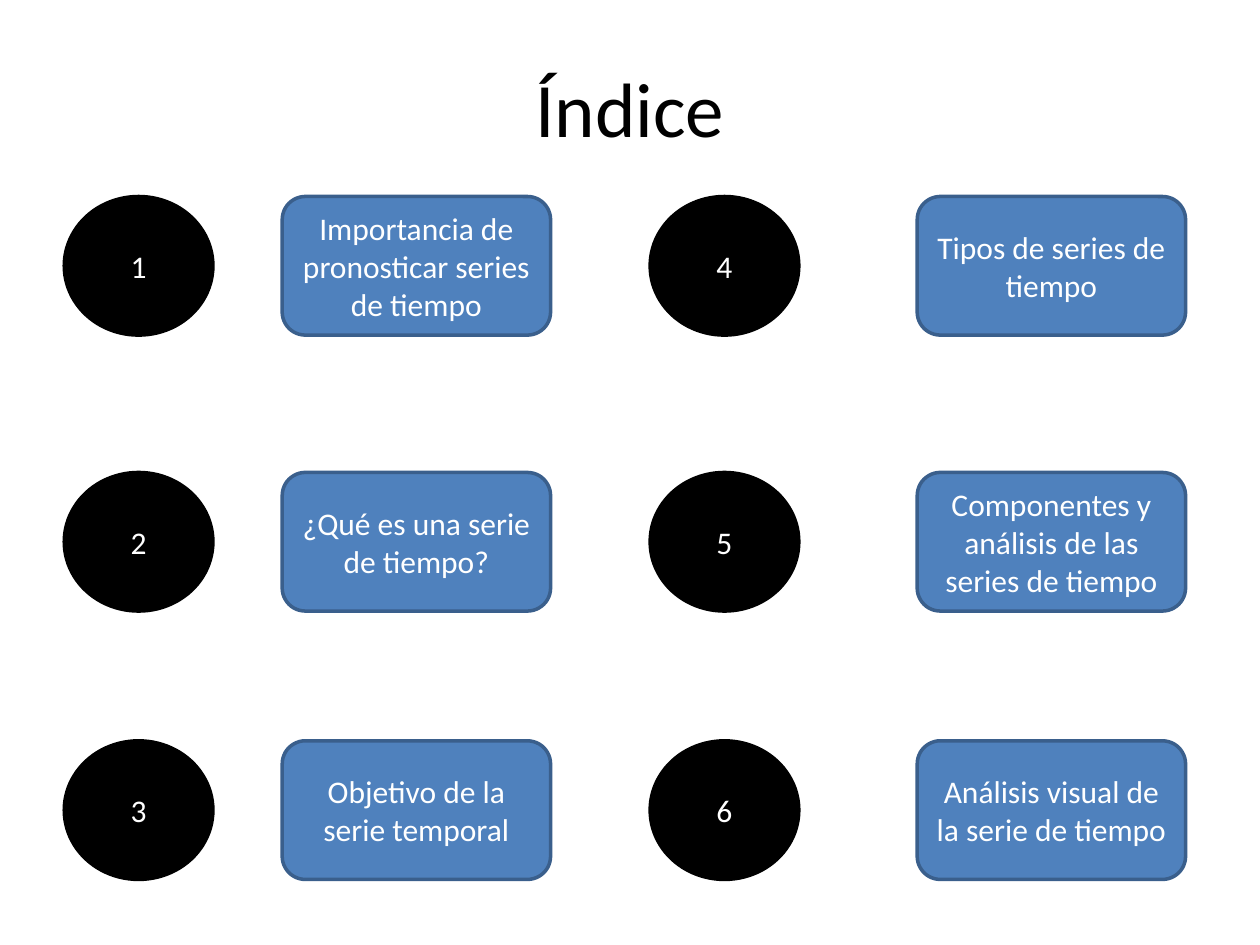
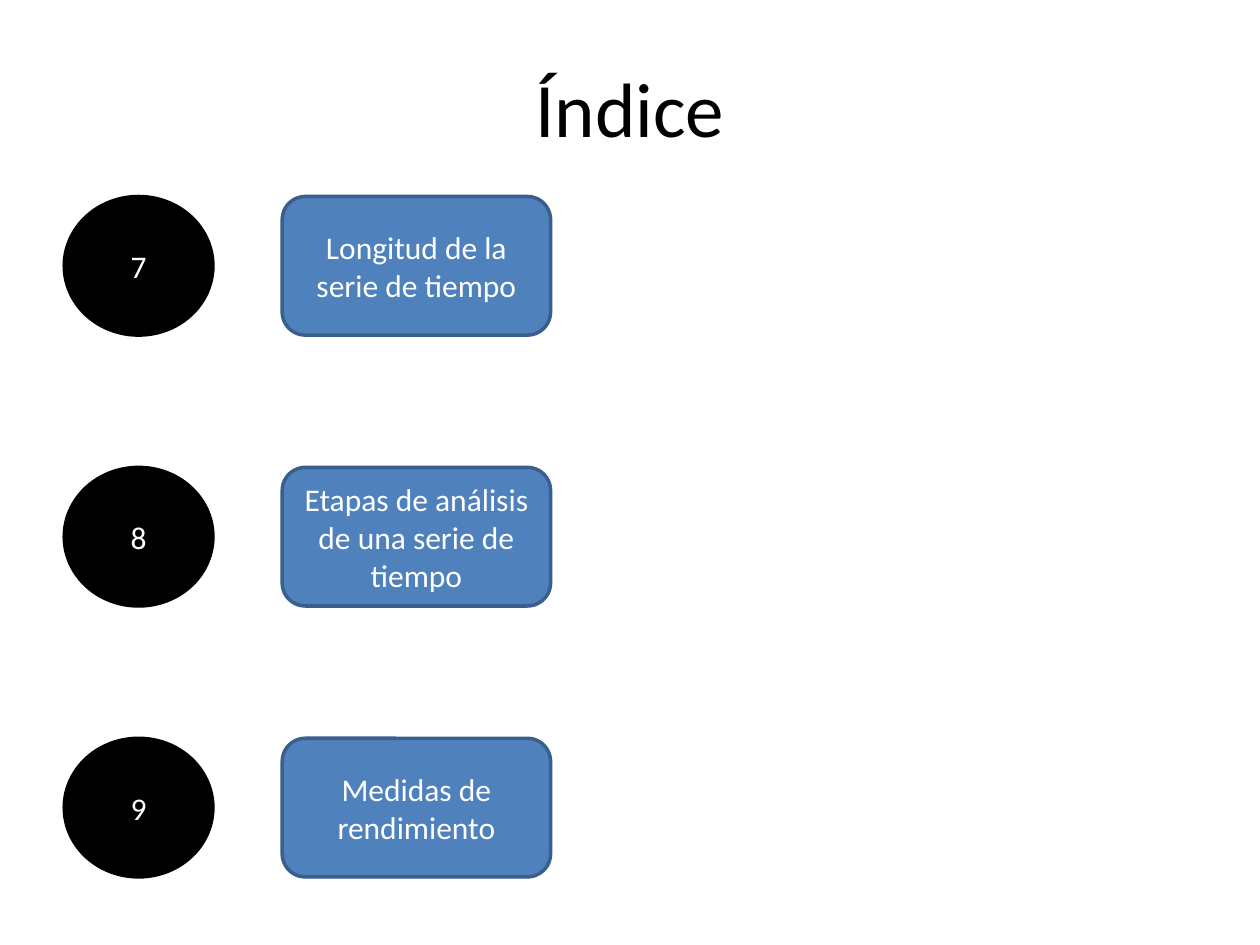
from pptx import Presentation
from pptx.dml.color import RGBColor
from pptx.enum.shapes import MSO_SHAPE
from pptx.enum.text import MSO_ANCHOR, PP_ALIGN
from pptx.util import Inches, Pt

TITLE = "Índice"
SLIDES = [
    {
        "row_tops": (1.56, 3.75, 5.88),
        "topics": [
            "Importancia de pronosticar series de tiempo",
            "¿Qué es una serie de tiempo?",
            "Objetivo de la serie temporal",
            "Tipos de series de tiempo",
            "Componentes y análisis de las series de tiempo",
            "Análisis visual de la serie de tiempo",
        ],
    },
    {
        "row_tops": (1.56, 3.71, 5.86),
        "topics": [
            "Longitud de la serie de tiempo",
            "Etapas de análisis de una serie de tiempo",
            "Medidas de rendimiento",
        ],
    },
]

FONT = "Calibri"
BLACK, WHITE, BLUE, DARK_BLUE = "000000", "FFFFFF", "4F81BD", "3A5F8C"
COLUMNS = [(0.51, 2.24), (5.16, 7.28)]  # left of the number, left of the topic
NUMBER_W, TOPIC_W, ITEM_H = 1.18, 2.13, 1.1


def rgb(color):
    return RGBColor.from_string(color)


def write(sp, text, size=18, color=WHITE):
    tf = sp.text_frame
    tf.word_wrap = True
    tf.vertical_anchor = MSO_ANCHOR.MIDDLE
    p = tf.paragraphs[0]
    p.alignment = PP_ALIGN.CENTER
    r = p.add_run()
    r.text = text
    r.font.name = FONT
    r.font.size = Pt(size)
    r.font.color.rgb = rgb(color)


def place(sp, left, top, width, height):
    sp.left, sp.top = Inches(left), Inches(top)
    sp.width, sp.height = Inches(width), Inches(height)


def add_item(s, kind, text, left, top, width, fill, line):
    sp = s.shapes.add_shape(kind, Inches(left), Inches(top), Inches(width), Inches(ITEM_H))
    sp.shadow.inherit = False
    sp.fill.solid()
    sp.fill.fore_color.rgb = rgb(fill)
    sp.line.color.rgb = rgb(line)
    sp.line.width = Pt(2)
    write(sp, text)


def add_index_slide(prs, row_tops, topics, first_number):
    s = prs.slides.add_slide(prs.slide_layouts[5])
    place(s.shapes.title, 0.5, 0.3, 9, 1.09)
    write(s.shapes.title, TITLE, size=44, color=BLACK)
    for i, topic in enumerate(topics):
        column, row = divmod(i, len(row_tops))
        number_left, topic_left = COLUMNS[column]
        top = row_tops[row]
        add_item(s, MSO_SHAPE.OVAL, str(first_number + i),
                 number_left, top, NUMBER_W, BLACK, BLACK)
        add_item(s, MSO_SHAPE.ROUNDED_RECTANGLE, topic,
                 topic_left, top, TOPIC_W, BLUE, DARK_BLUE)


def main():
    prs = Presentation()
    prs.slide_width, prs.slide_height = Inches(10), Inches(7.5)
    number = 1
    for content in SLIDES:
        add_index_slide(prs, content["row_tops"], content["topics"], number)
        number += len(content["topics"])
    prs.save("out.pptx")


if __name__ == "__main__":
    main()
